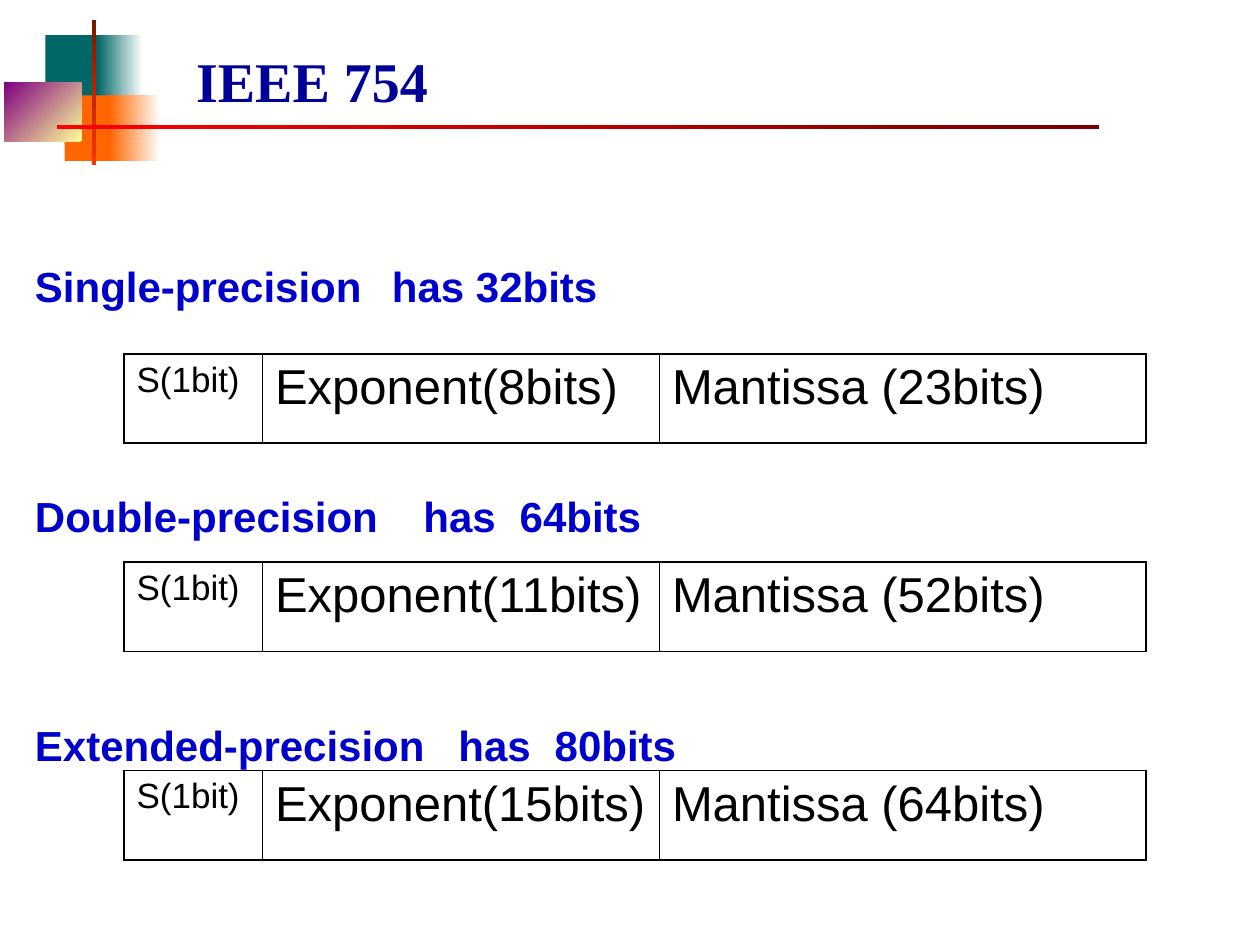
from dataclasses import dataclass

from lxml import etree
from pptx import Presentation
from pptx.dml.color import RGBColor
from pptx.enum import shapes, text
from pptx.oxml import ns
from pptx.util import Pt


@dataclass(frozen=True)
class Theme:
    title: str = "000099"
    heading: str = "0000CC"
    ink: str = "000000"
    serif: str = "Times New Roman"
    sans: str = "Arial"
    title_size: int = 32
    heading_size: int = 24
    field_size: int = 28
    sign_size: int = 20
    outer_line: float = 1.08
    inner_line: float = 0.45


THEME = Theme()

# left, top, width, height, colours from start to end, clockwise angle
ORNAMENT = [
    (26, 20, 34.5, 37.5, ["006666"], 0),
    (55.5, 20, 26, 37.5, ["FFFFFF", "006666"], 180),
    (37, 54.5, 33, 37.5, ["FF6600"], 0),
    (62.5, 54.5, 29, 37.5, ["FFFFFF", "FF6600"], 180),
    (2.5, 47.2, 44.3, 33.5, ["FFFF99", "800080"], 225),
    (52.5, 11.5, 2.5, 83, ["761800", "FF3300"], 90),
    (32.5, 71.4, 595.5, 2.6, ["FF0000", "760000"], 0),
]

# heading parts, tab stops between them, exponent bits, mantissa bits
FORMATS = [
    (["Single-precision", "has 32bits"], [204], 8, 23),
    (["Double-precision", "has", "64bits"], [222, 277], 11, 52),
    (["Extended-precision", "has", "80bits"], [242, 297], 15, 64),
]


def style_font(font, color, **values):
    for name, value in values.items():
        setattr(font, name, value)
    font.color.rgb = RGBColor.from_string(color)


def add_text_frame(slide, box, **values):
    frame = slide.shapes.add_textbox(*map(Pt, box)).text_frame
    frame.word_wrap = True
    for name, value in values.items():
        setattr(frame, name, value)
    return frame


def add_title(slide, box):
    frame = add_text_frame(slide, box, vertical_anchor=text.MSO_ANCHOR.MIDDLE)
    title = frame.paragraphs[0]
    title.text = "IEEE 754"
    style_font(title.font, THEME.title, name=THEME.serif,
               size=Pt(THEME.title_size), bold=True)


def add_ornament(slide, box):
    """Coloured blocks with the crossing rules, offset from the box corner."""
    x, y = box
    for left, top, width, height, colors, angle in ORNAMENT:
        block = slide.shapes.add_shape(
            shapes.MSO_SHAPE.RECTANGLE,
            Pt(x + left), Pt(y + top), Pt(width), Pt(height))
        block.shadow.inherit = False
        block.line.fill.background()
        if len(colors) == 1:
            block.fill.solid()
            block.fill.fore_color.rgb = RGBColor.from_string(colors[0])
            continue
        block.fill.gradient()
        block.fill.gradient_angle = (360 - angle) % 360
        for position, (stop, color) in enumerate(
                zip(block.fill.gradient_stops, colors)):
            stop.position = position
            stop.color.rgb = RGBColor.from_string(color)


def set_borders(cell, widths):
    """Draw left, right, top and bottom borders of the given widths."""
    properties = cell._tc.get_or_add_tcPr()
    for index, (side, width) in enumerate(zip("LRTB", widths)):
        line = etree.Element(ns.qn(f"a:ln{side}"), w=str(Pt(width)))
        fill = etree.SubElement(line, ns.qn("a:solidFill"))
        etree.SubElement(fill, ns.qn("a:srgbClr"), val=THEME.ink)
        properties.insert(index, line)


def add_bit_layout(slide, box, exponent_bits, mantissa_bits):
    fields = [
        ("S(1bit)", 79.2, THEME.sign_size),
        (f"Exponent({exponent_bits}bits)", 226.8, THEME.field_size),
        (f"Mantissa ({mantissa_bits}bits)", 278, THEME.field_size),
    ]
    table = slide.shapes.add_table(1, len(fields), *map(Pt, box)).table
    table.first_row = table.horz_banding = False
    last = len(fields) - 1
    for column, (label, width, size) in enumerate(fields):
        table.columns[column].width = Pt(width)
        cell = table.cell(0, column)
        cell.fill.background()
        outer, inner = THEME.outer_line, THEME.inner_line
        set_borders(cell, [outer if column == 0 else inner,
                           outer if column == last else inner, outer, outer])
        field = cell.text_frame.paragraphs[0]
        field.text = label
        style_font(field.font, THEME.ink, name=THEME.sans, size=Pt(size))


def add_headings(slide, box, gap):
    frame = add_text_frame(slide, box, margin_left=Pt(20))
    for index, (parts, stops, *_) in enumerate(FORMATS):
        heading = frame.add_paragraph() if index else frame.paragraphs[0]
        heading.text = "\t".join(parts)
        heading.line_spacing = 1.5
        if index:
            heading.space_before = Pt(gap)
        tabs = etree.SubElement(heading._p.get_or_add_pPr(), ns.qn("a:tabLst"))
        for stop in stops:
            etree.SubElement(tabs, ns.qn("a:tab"), pos=str(Pt(stop)), algn="l")
        style_font(heading.font, THEME.heading, name=THEME.sans,
                   size=Pt(THEME.heading_size), bold=True)


def main():
    deck = Presentation()
    deck.slide_width, deck.slide_height = Pt(720), Pt(540)
    slide = deck.slides.add_slide(deck.slide_layouts[6])
    add_title(slide, (105, 26, 482, 40))
    add_ornament(slide, (0, 0))
    for row, (_, _, exponent_bits, mantissa_bits) in enumerate(FORMATS):
        add_bit_layout(slide, (70.8, 202.3 + 119 * row, 584, 51),
                       exponent_bits, mantissa_bits)
    add_headings(slide, (0, 131, 720, 310), gap=88)
    deck.save("out.pptx")


if __name__ == "__main__":
    main()
